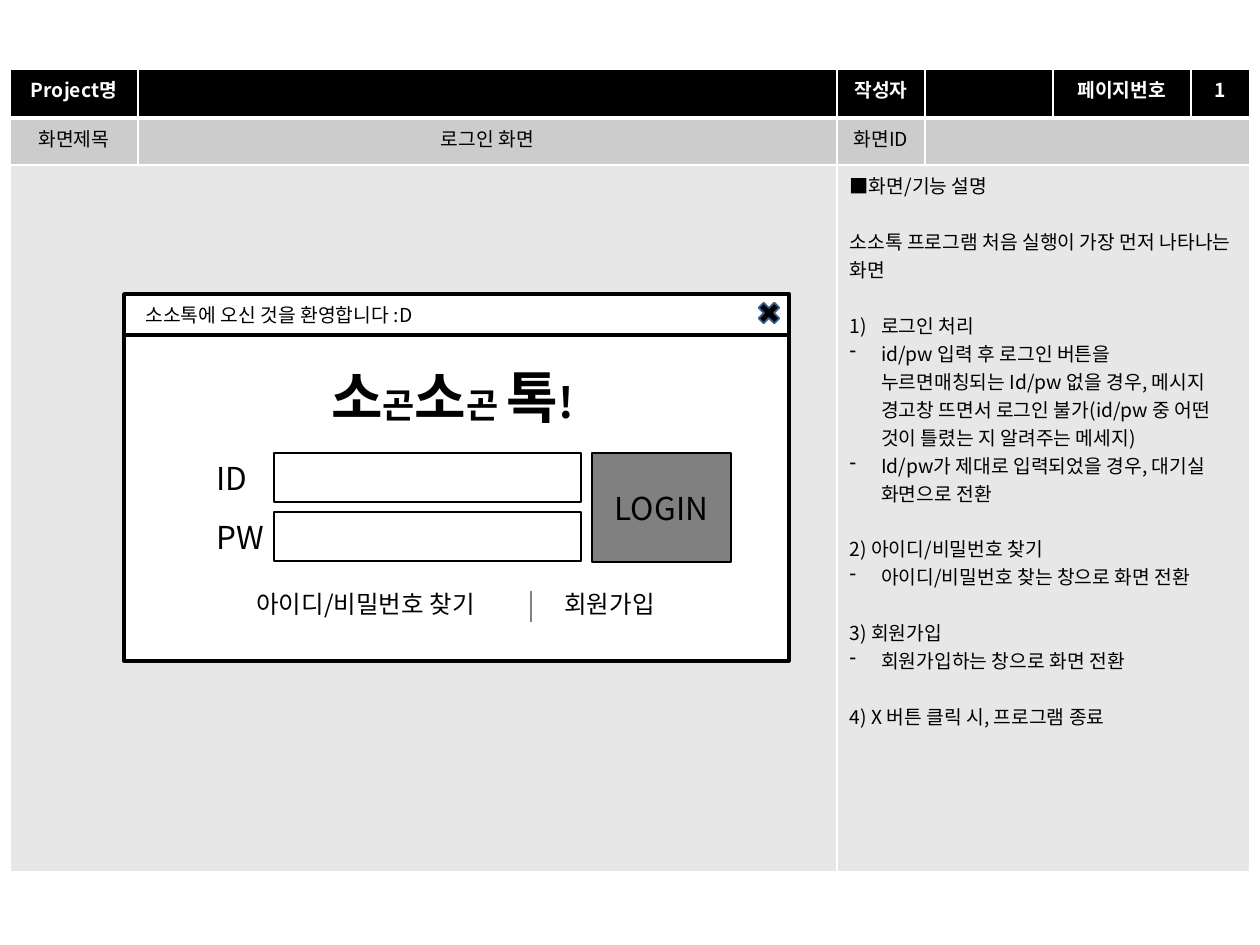
from dataclasses import dataclass

from lxml.etree import SubElement
from pptx import Presentation
from pptx.dml.color import RGBColor
from pptx.enum.shapes import MSO_CONNECTOR as Connector, MSO_SHAPE as Shape
from pptx.enum.text import MSO_ANCHOR as Anchor, MSO_AUTO_SIZE as AutoSize, PP_ALIGN as Align
from pptx.oxml.ns import qn
from pptx.util import Emu, Pt

PX = 914400 // 126


@dataclass(frozen=True)
class Theme:
    font: str = "Noto Sans CJK KR"
    black: str = "000000"
    white: str = "FFFFFF"
    gray: str = "808080"
    close_line: str = "3A5F8C"
    row_fills: tuple = ("000000", "CCCCCC", "E7E7E7")
    small: int = 11
    link: int = 14
    label: int = 18
    mark_small: int = 20
    mark_sign: int = 24
    mark_large: int = 32
    block_gap: int = 16


THEME = Theme()

# Cell texts by row and column, and merged ranges as (row, first, last)
CELLS = {
    (0, 0): "Project명", (0, 2): "작성자", (0, 4): "페이지번호", (0, 5): "1",
    (1, 0): "화면제목", (1, 1): "로그인 화면", (1, 2): "화면ID",
}
MERGES = [(1, 3, 5), (2, 0, 1), (2, 2, 5)]

# Description paragraphs: kind, starts a new block, text
NOTES = [
    ("plain", False, "■화면/기능 설명"),
    ("plain", True, "소소톡 프로그램 처음 실행이 가장 먼저 나타나는 화면"),
    ("number", True, "로그인 처리"),
    ("dash", False, "id/pw 입력 후 로그인 버튼을 누르면매칭되는 Id/pw 없을 경우, 메시지 경고창 "
                    "뜨면서 로그인 불가(id/pw 중 어떤 것이 틀렸는 지 알려주는 메세지)"),
    ("dash", False, "Id/pw가 제대로 입력되었을 경우, 대기실 화면으로 전환"),
    ("hanging", True, "2) 아이디/비밀번호 찾기"),
    ("dash", False, "아이디/비밀번호 찾는 창으로 화면 전환"),
    ("hanging", True, "3) 회원가입"),
    ("dash", False, "회원가입하는 창으로 화면 전환"),
    ("hanging", True, "4) X 버튼 클릭 시, 프로그램 종료"),
]


def px(*lengths):
    return [Emu(length * PX) for length in lengths]


def rgb(color):
    return RGBColor.from_string(color)


def style(para, size, color=THEME.black, bold=False, align=Align.LEFT):
    para.alignment = align
    font = para.font
    font.size, font.bold, font.name = Pt(size), bold, THEME.font
    font.color.rgb = rgb(color)
    # East Asian glyphs take their own typeface element
    defaults = para._p.pPr.find(qn("a:defRPr"))
    SubElement(defaults, qn("a:ea"), typeface=THEME.font)


def add_box(page, kind, place, fill, line, width):
    box = page.shapes.add_shape(kind, *px(*place))
    box.shadow.inherit = False
    box.fill.solid()
    box.fill.fore_color.rgb = rgb(fill)
    box.line.color.rgb = rgb(line)
    box.line.width = Pt(width)
    return box


def add_text(page, place, text, size):
    frame = page.shapes.add_textbox(*px(*place)).text_frame
    frame.word_wrap = True
    frame.auto_size = AutoSize.SHAPE_TO_FIT_TEXT
    para = frame.paragraphs[0]
    para.text = text
    style(para, size)
    return para


def add_line(page, ends, color, width):
    line = page.shapes.add_connector(Connector.STRAIGHT, *px(*ends))
    line.line.color.rgb = rgb(color)
    line.line.width = Pt(width)
    SubElement(line._element.spPr, qn("a:effectLst"))


def border_cell(cell, row):
    """White rules, with a heavy one under the header row."""
    widths = {"L": 1, "R": 1, "T": 3 if row == 1 else 1, "B": 3 if row == 0 else 1}
    properties = cell._tc.get_or_add_tcPr()
    for side, width in widths.items():
        line = SubElement(properties, qn(f"a:ln{side}"), w=str(Pt(width)))
        SubElement(SubElement(line, qn("a:solidFill")), qn("a:srgbClr"), val=THEME.white)


def fill_notes(frame):
    for index, (kind, new_block, text) in enumerate(NOTES):
        para = frame.paragraphs[0] if index == 0 else frame.add_paragraph()
        para.text = text
        if new_block:
            para.space_before = Pt(THEME.block_gap)
        properties = para._p.get_or_add_pPr()
        if kind != "plain":
            properties.set("marL", "228600")
            properties.set("indent", "-228600")
        if kind == "number":
            SubElement(properties, qn("a:buAutoNum"), type="arabicParenR")
        elif kind == "dash":
            SubElement(properties, qn("a:buChar"), char="-")
        style(para, THEME.small)


def add_spec_table(page, left, top):
    columns, rows = (128, 699, 88, 128, 138, 59), (49, 47, 707)
    table = page.shapes.add_table(
        len(rows), len(columns), *px(left, top, sum(columns), sum(rows))).table
    table.horz_banding = False
    for column, width in zip(table.columns, px(*columns)):
        column.width = width
    for row, height in zip(table.rows, px(*rows)):
        row.height = height
    for row, fill in enumerate(THEME.row_fills):
        for column in range(len(columns)):
            cell = table.cell(row, column)
            border_cell(cell, row)
            cell.fill.solid()
            cell.fill.fore_color.rgb = rgb(fill)
            text = CELLS.get((row, column))
            if text:
                para = cell.text_frame.paragraphs[0]
                para.text = text
                header = row == 0
                style(para, THEME.small, THEME.white if header else THEME.black,
                      header, Align.CENTER)
            else:
                cell.margin_top = cell.margin_bottom = 0
    for row, first, last in MERGES:
        table.cell(row, first).merge(table.cell(row, last))
    notes = table.cell(2, 2)
    notes.margin_top = notes.margin_bottom = Pt(3.6)
    fill_notes(notes.text_frame)


def add_login_window(page, left, top, width, height):
    def at(x, y, *size):
        return (left + x, top + y, *size)

    # Window and input fields
    add_box(page, Shape.RECTANGLE, at(0, 0, width, height), THEME.white, THEME.black, 2)
    for row, (label, label_width) in enumerate([("ID", 69), ("PW", 79)]):
        y = 159 + row * 59
        add_box(page, Shape.RECTANGLE, at(150, y, 307, 49), THEME.white, THEME.black, 1)
        add_text(page, at(80, y, label_width, 50), label, THEME.label)

    # Login button
    button = add_box(page, Shape.RECTANGLE, at(468, 159, 139, 109), THEME.gray, THEME.black, 1)
    button.text_frame.vertical_anchor = Anchor.MIDDLE
    para = button.text_frame.paragraphs[0]
    para.text = "LOGIN"
    style(para, THEME.label, align=Align.CENTER)

    # Wordmark in alternating sizes
    mark = add_text(page, at(21, 62, 615, 81), "", THEME.mark_large)
    mark.alignment, mark.font.bold = Align.CENTER, True
    large, small = THEME.mark_large, THEME.mark_small
    for text, size in [("소", large), ("곤", small), ("소", large), ("곤 ", small),
                       ("톡", large), ("!", THEME.mark_sign)]:
        span = mark.add_run()
        span.text, span.font.size = text, Pt(size)

    # Links and their divider
    add_text(page, at(120, 289, 287, 43), "아이디/비밀번호 찾기", THEME.link)
    add_text(page, at(428, 289, 149, 43), "회원가입", THEME.link)
    add_line(page, at(407, 297) + at(407, 328), THEME.gray, 1.5)

    # Title bar
    add_line(page, at(0, 41) + at(width, 41), THEME.black, 2)
    add_box(page, Shape.MATH_MULTIPLY, at(630, 4, 30, 30), THEME.black, THEME.close_line, 1)
    add_text(page, at(9, 3, 459, 37), "소소톡에 오신 것을 환영합니다 :D", THEME.small)


def main():
    deck = Presentation()
    deck.slide_width, deck.slide_height = px(1260, 945)
    page = deck.slides.add_slide(deck.slide_layouts[6])
    add_spec_table(page, 10, 69)
    add_login_window(page, 124, 294, 665, 367)
    deck.save("out.pptx")


if __name__ == "__main__":
    main()
